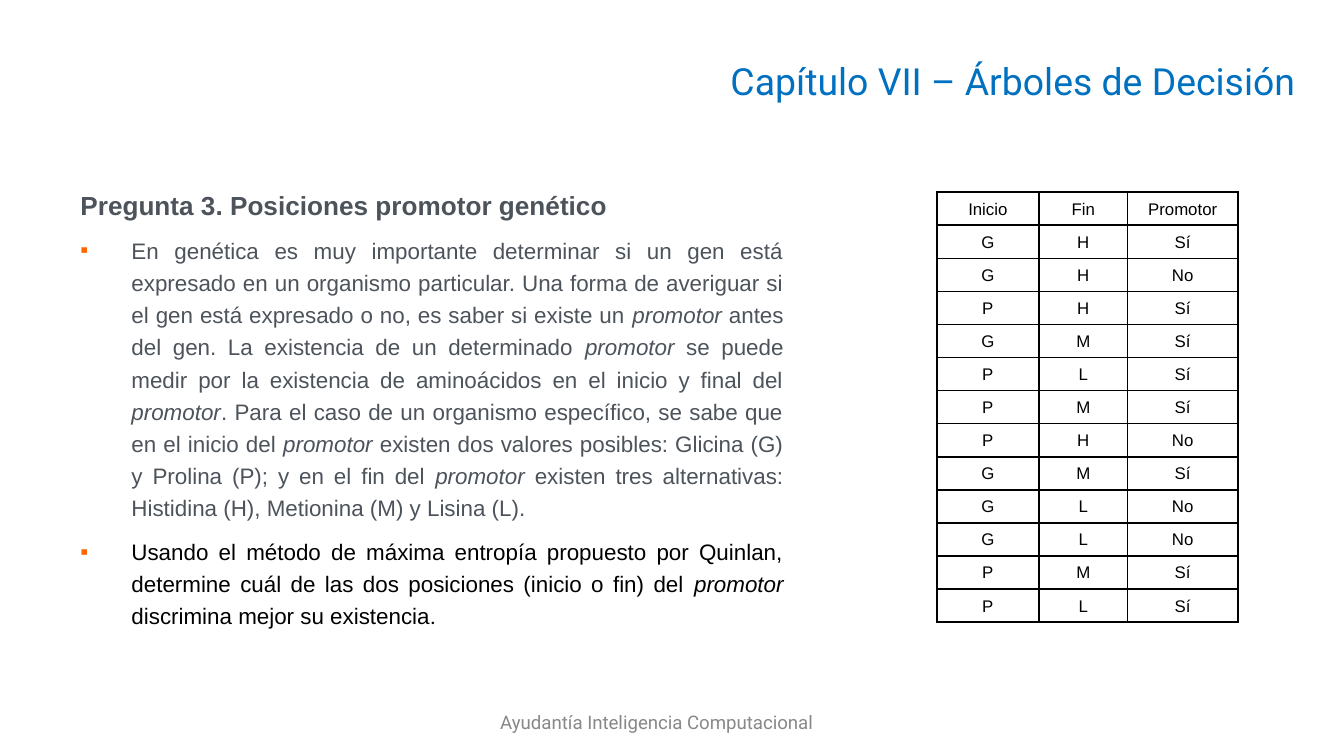
from lxml.etree import SubElement
from pptx import Presentation
from pptx.dml.color import RGBColor
from pptx.enum.text import MSO_ANCHOR, PP_ALIGN
from pptx.oxml.ns import qn
from pptx.util import Inches, Pt

BLUE = RGBColor(0x00, 0x70, 0xC0)
SLATE = RGBColor(0x4D, 0x53, 0x5B)
GRAY = RGBColor(0x88, 0x88, 0x88)
BLACK = RGBColor(0x00, 0x00, 0x00)
ORANGE = RGBColor(0xFF, 0x66, 0x00)

TITLE_FORMAT = {"name": "Roboto", "size": Pt(20)}
FOOTER_FORMAT = {"name": "Roboto", "size": Pt(10)}
HEADING_FORMAT = {"name": "Arial", "size": Pt(14), "bold": True}
BODY_FORMAT = {"name": "Arial", "size": Pt(12)}
FULL_STOP_FORMAT = {"name": "Roboto", "size": Pt(12)}
CELL_FORMAT = {"name": "Arial", "size": Pt(9)}

HEADING = "Pregunta 3. Posiciones promotor genético "
CONTEXT = (
    "En genética es muy importante determinar si un gen está expresado en un "
    "organismo particular. Una forma de averiguar si el gen está expresado o no, "
    "es saber si existe un *promotor* antes del gen. La existencia de un "
    "determinado *promotor* se puede medir por la existencia de aminoácidos en el "
    "inicio y final del *promotor*. Para el caso de un organismo específico, se "
    "sabe que en el inicio del *promotor* existen dos valores posibles: Glicina "
    "(G) y Prolina (P); y en el fin del *promotor* existen tres alternativas: "
    "Histidina (H), Metionina (M) y Lisina (L)."
)
TASK = (
    "Usando el método de máxima entropía propuesto por Quinlan, determine cuál de "
    "las dos posiciones (inicio o fin) del *promotor* discrimina mejor su "
    "existencia"
)
PROMOTER_ROWS = [
    ("Inicio", "Fin", "Promotor"),
    ("G", "H", "Sí"),
    ("G", "H", "No"),
    ("P", "H", "Sí"),
    ("G", "M", "Sí"),
    ("P", "L", "Sí"),
    ("P", "M", "Sí"),
    ("P", "H", "No"),
    ("G", "M", "Sí"),
    ("G", "L", "No"),
    ("G", "L", "No"),
    ("P", "M", "Sí"),
    ("P", "L", "Sí"),
]
COLUMN_WIDTHS = (0.76, 0.66, 0.82)
TABLE_HEIGHT = 3.2


def set_attributes(target, values):
    for name, value in values.items():
        setattr(target, name, value)


def write_text(paragraph, text, font_format, color, alignment):
    paragraph.alignment = alignment
    for index, part in enumerate(text.split("*")):
        run = paragraph.add_run()
        run.text = part
        set_attributes(run.font, font_format)
        run.font.color.rgb = color
        if index % 2:
            run.font.italic = True


def add_text_frame(slide, left, top, width, height, anchor):
    box = slide.shapes.add_textbox(
        Inches(left), Inches(top), Inches(width), Inches(height)
    )
    set_attributes(box.text_frame, {"word_wrap": True, "vertical_anchor": anchor})
    return box.text_frame


def add_bullet(paragraph):
    paragraph.space_before = Pt(6)
    properties = paragraph._p.get_or_add_pPr()
    properties.set("marL", str(Inches(0.38)))
    properties.set("indent", str(-Inches(0.38)))
    bullet_color = SubElement(properties, qn("a:buClr"))
    SubElement(bullet_color, qn("a:srgbClr"), val=str(ORANGE))
    SubElement(properties, qn("a:buFont"), typeface="Arial")
    SubElement(properties, qn("a:buChar"), char="▪")


def add_question(slide):
    frame = add_text_frame(slide, 0.5, 1.31, 5.43, 3.71, MSO_ANCHOR.TOP)
    heading = frame.paragraphs[0]
    heading.line_spacing = 1.2
    write_text(heading, HEADING, HEADING_FORMAT, SLATE, PP_ALIGN.JUSTIFY)
    for text, color in ((CONTEXT, SLATE), (TASK, BLACK)):
        paragraph = frame.add_paragraph()
        paragraph.line_spacing = 1.2
        write_text(paragraph, text, BODY_FORMAT, color, PP_ALIGN.JUSTIFY)
        add_bullet(paragraph)
    write_text(paragraph, ".", FULL_STOP_FORMAT, BLACK, PP_ALIGN.JUSTIFY)


def add_borders(cell):
    properties = cell._tc.get_or_add_tcPr()
    for position, side in enumerate(("a:lnL", "a:lnR", "a:lnT", "a:lnB")):
        line = properties.makeelement(qn(side), {"w": str(Pt(1))})
        fill = SubElement(line, qn("a:solidFill"))
        SubElement(fill, qn("a:srgbClr"), val=str(BLACK))
        properties.insert(position, line)


def fill_cell(cell, text):
    margins = {
        "margin_left": Inches(0.07),
        "margin_right": Inches(0.07),
        "margin_top": Inches(0.03),
        "margin_bottom": Inches(0.03),
    }
    set_attributes(cell, margins)
    cell.fill.background()
    paragraph = cell.text_frame.paragraphs[0]
    paragraph.line_spacing = 1.2
    write_text(paragraph, text, CELL_FORMAT, BLACK, PP_ALIGN.CENTER)
    add_borders(cell)


def add_promoter_table(slide):
    table = slide.shapes.add_table(
        len(PROMOTER_ROWS), len(COLUMN_WIDTHS), Inches(6.97), Inches(1.43),
        Inches(sum(COLUMN_WIDTHS)), Inches(TABLE_HEIGHT),
    ).table
    set_attributes(table, {"first_row": False, "horz_banding": False})
    for column, width in zip(table.columns, COLUMN_WIDTHS):
        column.width = Inches(width)
    for row, values in zip(table.rows, PROMOTER_ROWS):
        row.height = Inches(TABLE_HEIGHT / len(PROMOTER_ROWS))
        for cell, value in zip(row.cells, values):
            fill_cell(cell, value)


def main():
    presentation = Presentation()
    presentation.slide_width = Inches(10)
    presentation.slide_height = Inches(10) * 9 // 16
    slide = presentation.slides.add_slide(presentation.slide_layouts[6])

    title = add_text_frame(slide, 2.09, 0.29, 7.65, 0.62, MSO_ANCHOR.MIDDLE)
    write_text(title.paragraphs[0], "Capítulo VII – Árboles de Decisión",
               TITLE_FORMAT, BLUE, PP_ALIGN.RIGHT)
    add_promoter_table(slide)
    footer = add_text_frame(slide, 2.05, 5.18, 5.67, 0.39, MSO_ANCHOR.MIDDLE)
    write_text(footer.paragraphs[0], "Ayudantía Inteligencia Computacional",
               FOOTER_FORMAT, GRAY, PP_ALIGN.CENTER)
    add_question(slide)

    presentation.save("out.pptx")


if __name__ == "__main__":
    main()
